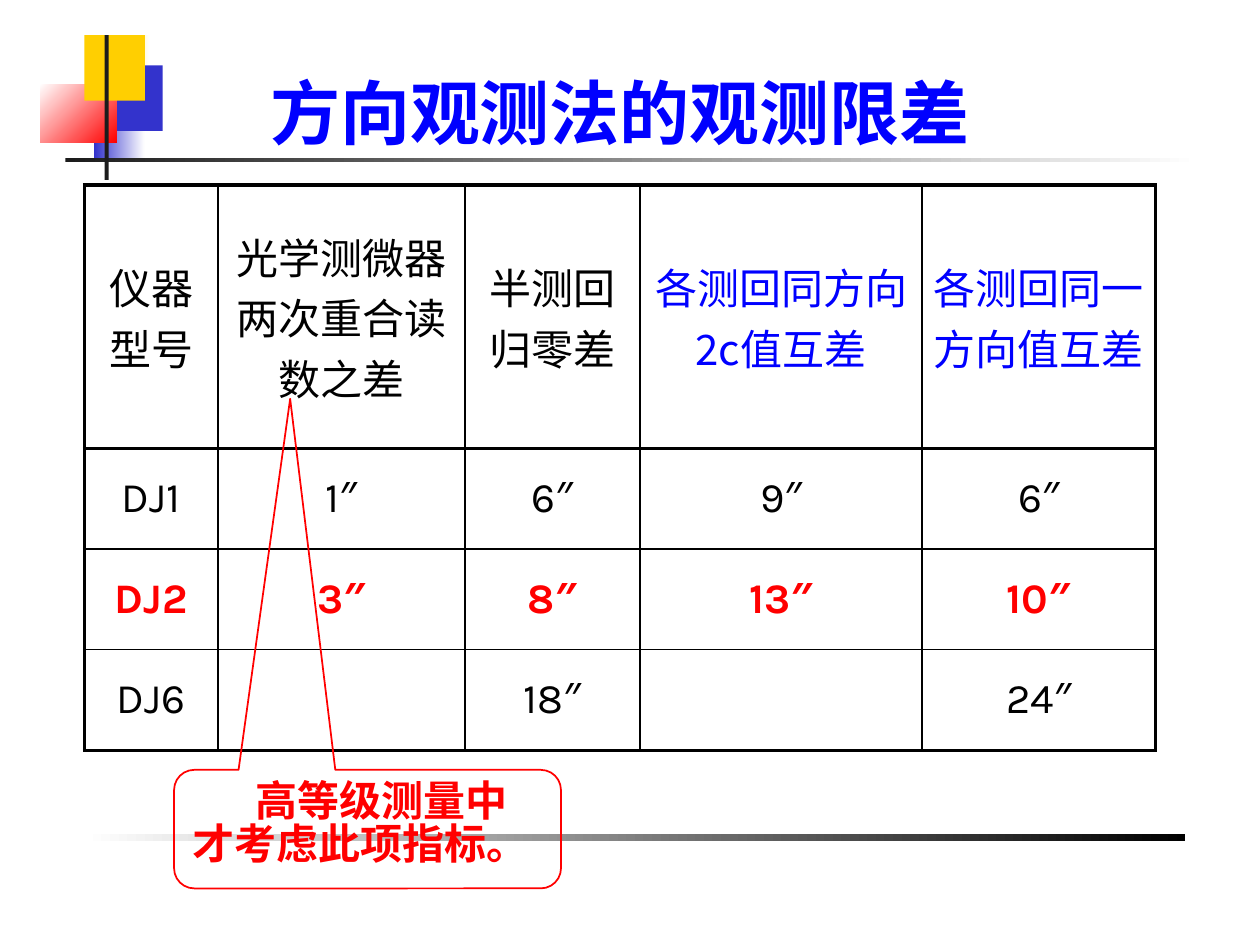
from lxml import etree
from pptx import Presentation
from pptx import util as u
from pptx.dml.color import RGBColor
from pptx.enum import shapes, text
from pptx.oxml.ns import qn

BLACK = RGBColor(0x00, 0x00, 0x00)
WHITE = RGBColor(0xFF, 0xFF, 0xFF)
RED = RGBColor(0xFF, 0x00, 0x00)
BLUE = RGBColor(0x00, 0x00, 0xFF)
INDIGO = RGBColor(0x33, 0x33, 0xCC)
GOLD = RGBColor(0xFF, 0xCF, 0x01)
DARK = RGBColor(0x1C, 0x1C, 0x1C)
CJK = "Noto Sans CJK SC"
LATIN = "Karla"

DECOR = [
    ((1.9, 1.93, 1.02, 1.32), (INDIGO, WHITE), 0),
    ((2.11, 0.71, 0.91, 1.32), (GOLD, WHITE), 0),
    ((2.11, 1.32, 1.17, 1.32), (INDIGO,), 0),
    ((0.81, 1.7, 1.55, 1.17), (WHITE, RED), 315),
    ((1.32, 3.18, 22.86, 0.08), (DARK, WHITE), 0),
    ((1.7, 16.81, 22.2, 0.15), (WHITE, BLACK), 0),
    ((1.7, 0.71, 1.22, 1.32), (GOLD,), 0),
    ((2.11, 0.71, 0.08, 2.92), (DARK,), 0),
]
COLS = [2.69, 4.98, 3.53, 5.69, 4.7]
ROWS = [5.31, 2.03, 2.03, 2.03]
LIMITS = [
    ["仪器\n型号", "光学测微器两次重合读数之差", "半测回归零差",
     "各测回同方向\n2c值互差", "各测回同一方向值互差"],
    ["DJ1", "1″", "6″", "9″", "6″"],
    ["DJ2", "3″", "8″", "13″", "10″"],
    ["DJ6", "", "18″", "", "24″"],
]


class Deck:
    """Holds the style and the current slide, and draws each kind of element."""

    def __init__(self, prs):
        self.s = prs.slides.add_slide(prs.slide_layouts[6])
        self.size = 24

    def words(self, tf, content, font, color, bold=False, size=None, align=text.PP_ALIGN.CENTER):
        tf.text = content
        for p in tf.paragraphs:
            p.alignment = align
            f = p.font
            f.size = u.Pt(size or self.size)
            f.bold = bold
            f.color.rgb = color
            f.name = font
            rpr = p._p.pPr.find(qn("a:defRPr"))
            etree.SubElement(rpr, qn("a:ea"), typeface=font)

    def block(self, box, colors, angle):
        sp = self.s.shapes.add_shape(shapes.MSO_SHAPE.RECTANGLE, *map(u.Cm, box))
        sp.shadow.inherit = False
        sp.line.fill.background()
        if len(colors) == 1:
            sp.fill.solid()
            sp.fill.fore_color.rgb = colors[0]
            return
        sp.fill.gradient()
        sp.fill.gradient_angle = angle
        for stop, color in zip(sp.fill.gradient_stops, colors):
            stop.color.rgb = color

    def title(self, box, content):
        tf = self.s.shapes.add_textbox(*map(u.Cm, box)).text_frame
        tf.word_wrap = True
        tf.margin_bottom = 0
        tf.vertical_anchor = text.MSO_ANCHOR.BOTTOM
        self.words(tf, content, CJK, BLUE, True, 40)

    def border(self, cell, sides):
        tcpr = cell._tc.get_or_add_tcPr()
        for side, width in sides.items():
            ln = etree.SubElement(tcpr, qn(f"a:ln{side}"), w=str(u.Pt(width)))
            fill = etree.SubElement(ln, qn("a:solidFill"))
            etree.SubElement(fill, qn("a:srgbClr"), val=str(BLACK))

    def table(self, left, top, cols, rows, data):
        tbl = self.s.shapes.add_table(len(rows), len(cols), u.Cm(left), u.Cm(top),
                                      u.Cm(sum(cols)), u.Cm(sum(rows))).table
        tbl.first_row = tbl.horz_banding = False
        for col, width in zip(tbl.columns, cols):
            col.width = u.Cm(width)
        for row, height in zip(tbl.rows, rows):
            row.height = u.Cm(height)
        last_row, last_col = len(rows) - 1, len(cols) - 1
        for i, line in enumerate(data):
            for j, content in enumerate(line):
                cell = tbl.cell(i, j)
                self.border(cell, {
                    "L": 2 if j == 0 else 1,
                    "R": 2 if j == last_col else 1,
                    "T": 2 if i <= 1 else 1,
                    "B": 2 if i in (0, last_row) else 1,
                })
                cell.fill.background()
                cell.margin_left = cell.margin_right = u.Cm(0.22)
                cell.vertical_anchor = text.MSO_ANCHOR.MIDDLE
                if content:
                    color = RED if i == 2 else BLUE if i == 0 and j >= 3 else BLACK
                    self.words(cell.text_frame, content, LATIN if i else CJK, color, i == 2)

    def callout(self, box, adjust, content):
        sp = self.s.shapes.add_shape(shapes.MSO_SHAPE.ROUNDED_RECTANGULAR_CALLOUT,
                                     *map(u.Cm, box))
        for k, value in enumerate(adjust):
            sp.adjustments[k] = value
        sp.shadow.inherit = False
        sp.fill.background()
        sp.line.color.rgb = RED
        sp.line.width = u.Pt(1)
        tf = sp.text_frame
        tf.word_wrap = True
        tf.vertical_anchor = text.MSO_ANCHOR.TOP
        self.words(tf, content, CJK, RED, True, align=text.PP_ALIGN.LEFT)
        p = tf.paragraphs[0]
        p.line_spacing = 0.85
        p._p.pPr.set("indent", str(u.Cm(1.27)))


def main():
    prs = Presentation()
    prs.slide_width, prs.slide_height = u.Cm(25.4), u.Cm(19.05)
    deck = Deck(prs)
    for box, colors, angle in DECOR:
        deck.block(box, colors, angle)
    deck.title((2.69, 0.91, 19.61, 2.18), "方向观测法的观测限差")
    deck.table(1.7, 3.73, COLS, ROWS, LIMITS)
    deck.callout((3.51, 15.52, 7.8, 2.39), (-0.2, -3.63, 0.17), "高等级测量中才考虑此项指标。")
    prs.save("out.pptx")


if __name__ == "__main__":
    main()
